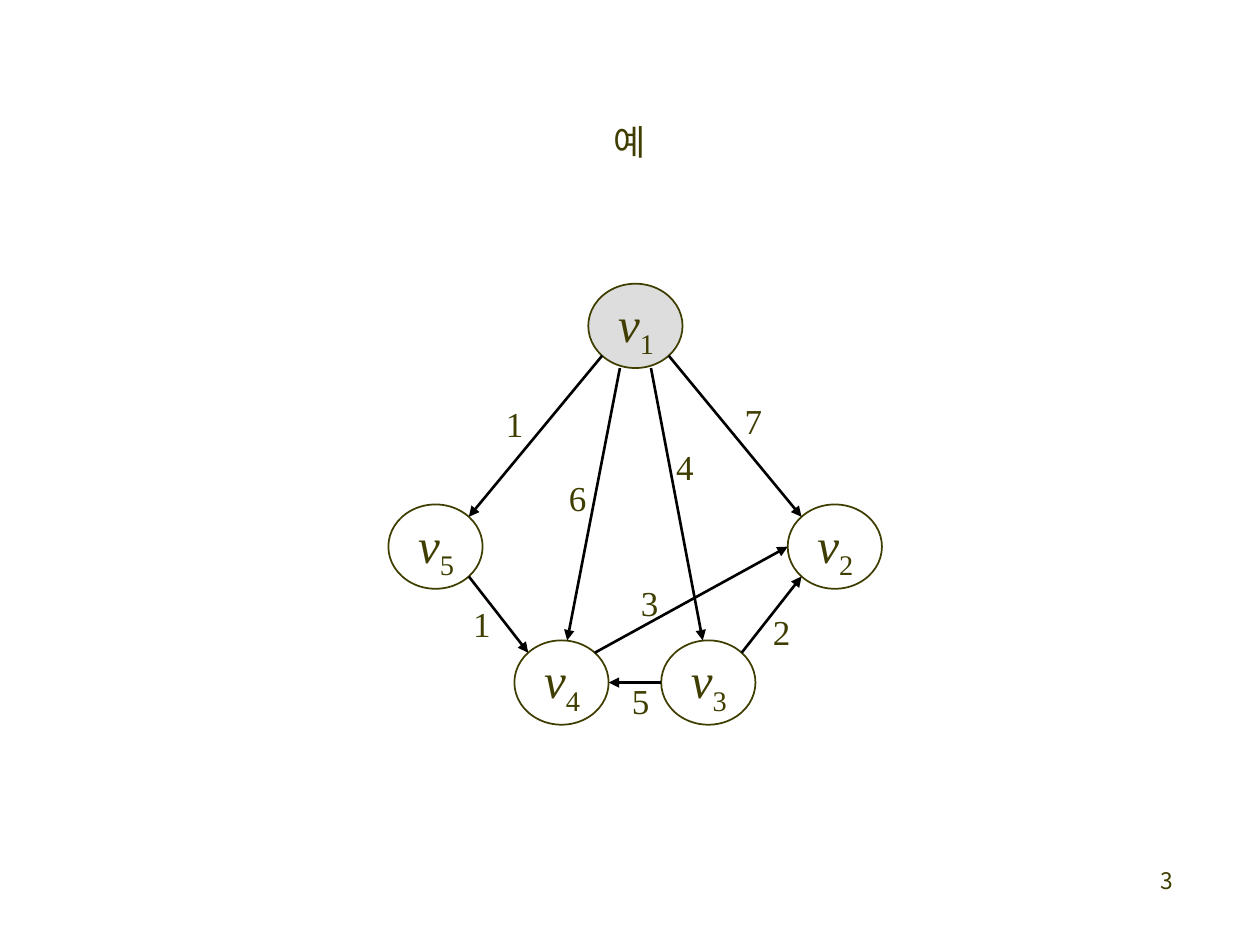
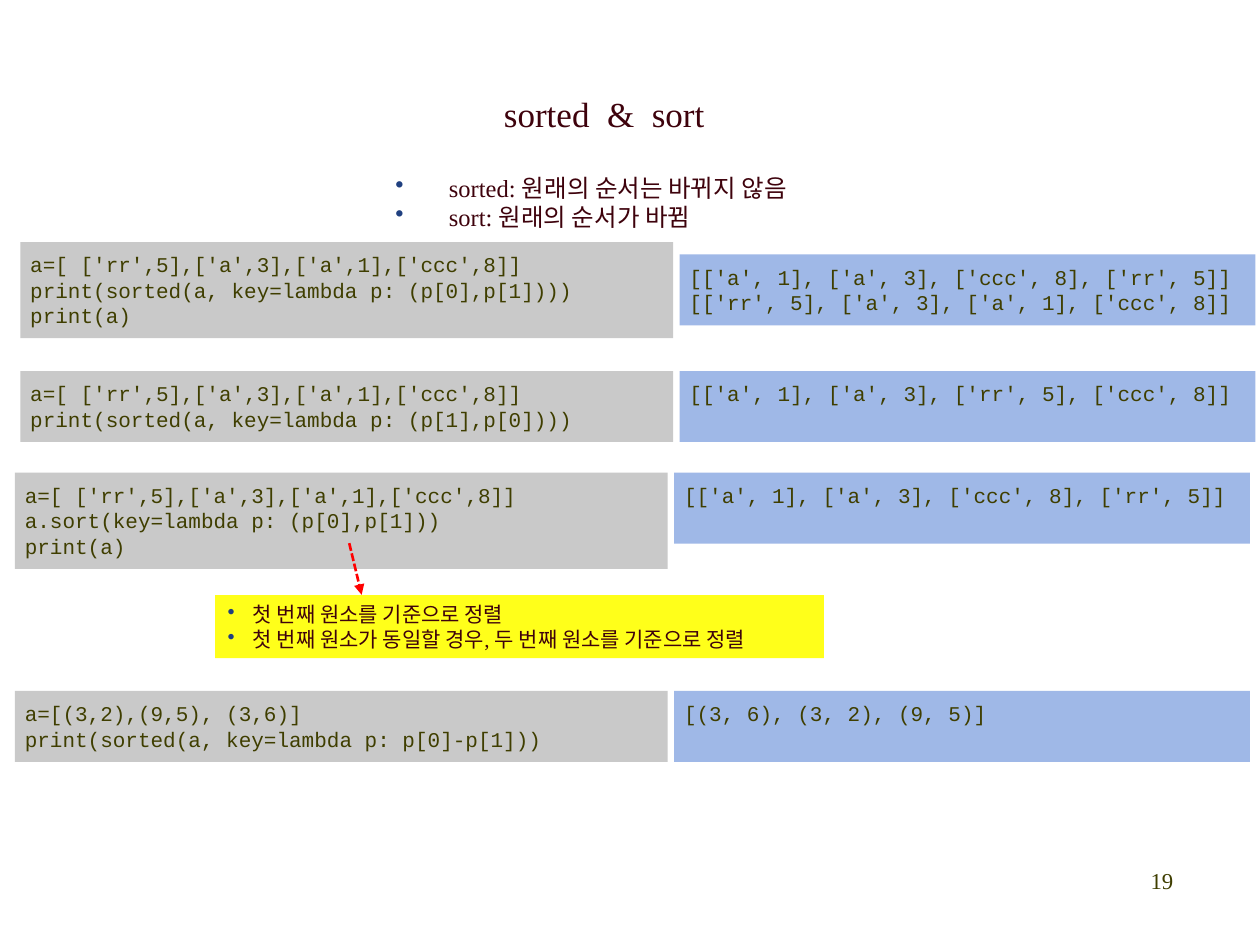
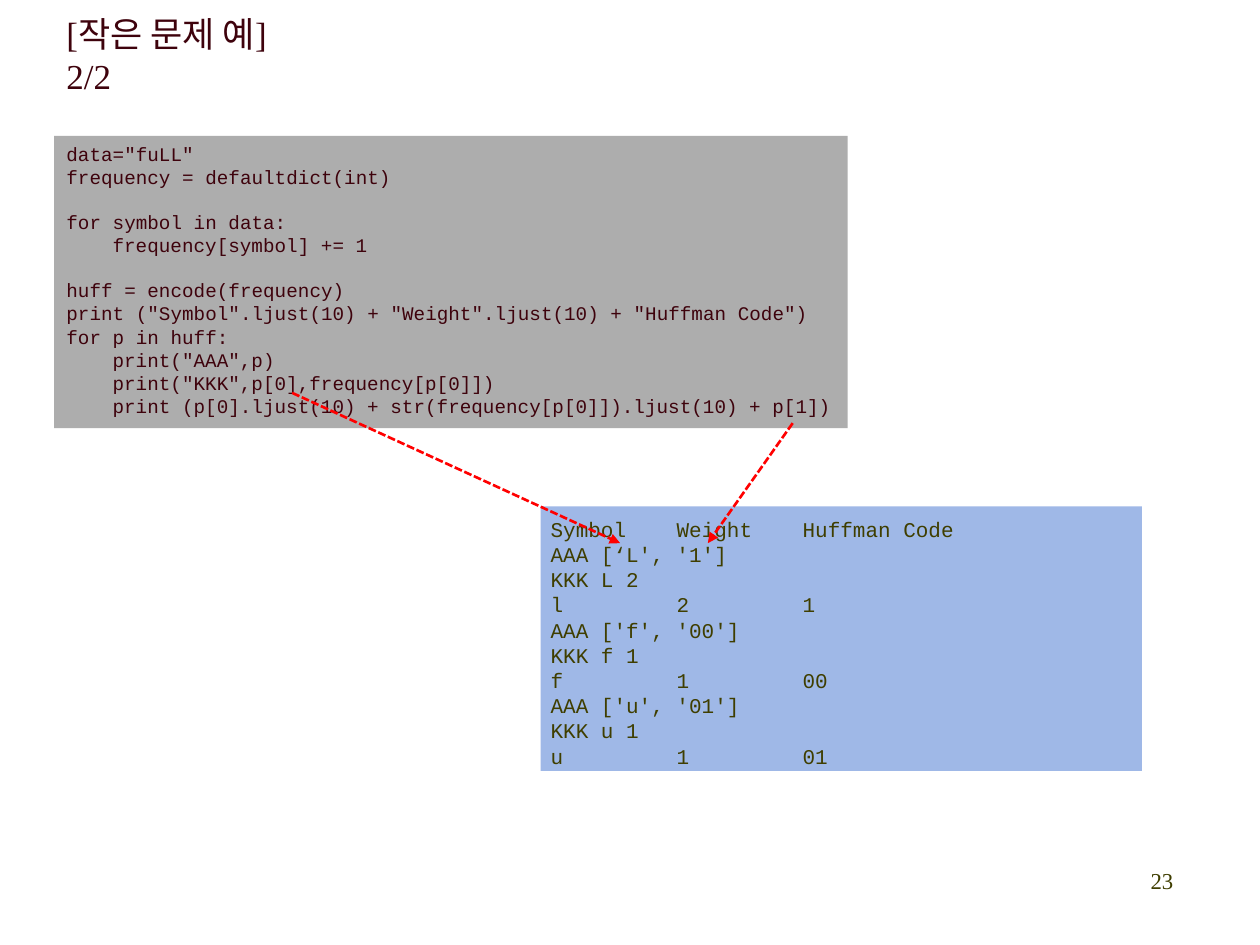
from dataclasses import dataclass
from math import sqrt

from lxml.etree import SubElement
from pptx import Presentation
from pptx.dml.color import RGBColor
from pptx.enum.dml import MSO_LINE
from pptx.enum.shapes import MSO_CONNECTOR, MSO_SHAPE
from pptx.enum.text import MSO_ANCHOR, PP_ALIGN
from pptx.oxml.ns import qn
from pptx.util import Cm, Pt


@dataclass(frozen=True)
class Theme:
    # colours
    olive: str = "3F3E00"
    maroon: str = "3E020C"
    bullet: str = "204080"
    code: str = "C9C9C9"
    dark_code: str = "ADADAD"
    output: str = "9FB8E7"
    note: str = "FFFF1A"
    start_node: str = "DDDDDD"
    edge: str = "000000"
    pointer: str = "FF0000"
    # fonts and type sizes
    serif: str = "Times New Roman"
    mono: str = "Courier New"
    korean: str = "Noto Sans CJK KR"
    title: int = 20
    node: int = 28
    list: int = 14
    number: int = 13
    body: int = 12
    listing: int = 11


T = Theme()
CODE_INSETS = (0.2, 0.2, 0.2, 0.2)
OUTPUT_INSETS = (0.2, 0.2, 0.2, 0)


def rgb(value):
    return RGBColor.from_string(value)


def apply(target, formats):
    for name, value in formats.items():
        setattr(target, name, value)


# ---- shared parts ----

def add_run(p, text, size, color=T.olive, font=T.serif, italic=False, baseline=0):
    r = p.add_run()
    r.text = text
    apply(r.font, {"size": Pt(size), "name": font, "italic": italic})
    r.font.color.rgb = rgb(color)
    rPr = r._r.get_or_add_rPr()
    SubElement(rPr, qn("a:ea"), typeface=T.korean)
    if baseline:
        rPr.set("baseline", str(baseline))


def set_frame(sp, insets=(0.25, 0.13, 0.25, 0.13), wrap=True, anchor=MSO_ANCHOR.TOP):
    tf = sp.text_frame
    apply(tf, {"word_wrap": wrap, "vertical_anchor": anchor})
    sides = ("margin_left", "margin_top", "margin_right", "margin_bottom")
    apply(tf, {side: Cm(inset) for side, inset in zip(sides, insets)})
    return tf


def add_lines(tf, lines, align=PP_ALIGN.LEFT, **run):
    """Write one paragraph per line and return the paragraphs."""
    for i, line in enumerate(lines):
        p = tf.paragraphs[0] if i == 0 else tf.add_paragraph()
        p.alignment = align
        add_run(p, line, **run)
    return tf.paragraphs


def add_text(slide, box, lines, wrap=True, anchor=MSO_ANCHOR.TOP, **fmt):
    sp = slide.shapes.add_textbox(*map(Cm, box))
    return add_lines(set_frame(sp, wrap=wrap, anchor=anchor), lines, **fmt)


def add_box(slide, box, fill=None, line=None, kind=MSO_SHAPE.RECTANGLE):
    sp = slide.shapes.add_shape(kind, *map(Cm, box))
    sp.shadow.inherit = False
    if fill:
        sp.fill.solid()
        sp.fill.fore_color.rgb = rgb(fill)
    else:
        sp.fill.background()
    if line:
        sp.line.color.rgb = rgb(line)
        sp.line.width = Pt(1)
    else:
        sp.line.fill.background()
    return sp


def add_arrow(slide, start, end, color, dash=None):
    sp = slide.shapes.add_connector(MSO_CONNECTOR.STRAIGHT, *map(Cm, (*start, *end)))
    sp.line.color.rgb = rgb(color)
    apply(sp.line, {"width": Pt(1.5), "dash_style": dash})
    SubElement(sp.line._get_or_add_ln(), qn("a:tailEnd"), type="triangle")
    SubElement(sp._element.spPr, qn("a:effectLst"))


def add_pointer(slide, start, end):
    add_arrow(slide, start, end, T.pointer, MSO_LINE.SQUARE_DOT)


def add_bullets(paragraphs, indent):
    for p in paragraphs:
        pPr = p._p.get_or_add_pPr()
        pPr.set("marL", str(Cm(indent)))
        pPr.set("indent", str(-Cm(indent)))
        color = SubElement(pPr, qn("a:buClr"))
        SubElement(color, qn("a:srgbClr"), val=T.bullet)
        SubElement(pPr, qn("a:buChar"), char="•")


def add_number(slide, number, font=T.serif):
    add_text(slide, (18.62, 17.35, 5.28, 1.27), [str(number)],
             align=PP_ALIGN.RIGHT, size=T.number, font=font)


def add_code(slide, box, lines, fill=T.code, insets=CODE_INSETS):
    sp = add_box(slide, box, fill)
    return add_lines(set_frame(sp, insets), lines, size=T.body, font=T.mono)


# ---- slide 1: weighted graph ----

NODE_W, NODE_H = 1.9, 1.7
DIAG = sqrt(0.5)
# node: left, top within the graph
NODES = {1: (4.03, 0), 2: (8.05, 4.45), 3: (5.5, 7.19), 4: (2.54, 7.19), 5: (0, 4.45)}
# from, to, exit and entry points in radii, weight, label position in the graph
EDGES = [
    (1, 2, (DIAG, DIAG), (-DIAG, -DIAG), 7, (6.93, 2.29)),
    (1, 5, (-DIAG, DIAG), (DIAG, -DIAG), 1, (2.12, 2.36)),
    (5, 4, (DIAG, DIAG), (-DIAG, -DIAG), 1, (1.46, 6.4)),
    (3, 2, (DIAG, -DIAG), (-DIAG, DIAG), 2, (7.5, 6.55)),
    (3, 4, (-1, 0), (1, 0), 5, (4.66, 7.95)),
    (1, 4, (-0.33, 1), (0.12, -1), 6, (3.39, 3.86)),
    (1, 3, (0.33, 1), (-0.12, -1), 4, (5.55, 3.23)),
    (4, 2, (DIAG, -DIAG), (-1, 0), 3, (4.84, 5.97)),
]


def add_graph(slide, left, top):
    def rim(node, direction):
        x, y = NODES[node]
        return (left + x + NODE_W / 2 * (1 + direction[0]),
                top + y + NODE_H / 2 * (1 + direction[1]))

    # nodes with subscripted names
    for node, (x, y) in NODES.items():
        add_box(slide, (left + x, top + y, NODE_W, NODE_H),
                T.start_node if node == 1 else None, T.olive, MSO_SHAPE.OVAL)
        p = add_text(slide, (left + x + 0.35, top + y + 0.08, 1.3, 1.32), ["v"],
                     wrap=False, size=T.node, italic=True)[0]
        p.line_spacing = 0.9
        add_run(p, str(node), T.node, baseline=-25000)
    # edges with weights
    for a, b, leave, enter, weight, (x, y) in EDGES:
        add_arrow(slide, rim(a, leave), rim(b, enter), T.edge)
        p = add_text(slide, (left + x, top + y, 0.86, 1.02), [str(weight)],
                     wrap=False, size=T.title)[0]
        p.line_spacing = 0.9


def graph_slide(slide):
    add_text(slide, (1.9, 1.7, 21.59, 2.29), ["예"], anchor=MSO_ANCHOR.MIDDLE,
             align=PP_ALIGN.CENTER, size=T.title)
    add_graph(slide, 7.83, 5.72)
    add_number(slide, 3, T.korean)


# ---- slide 2: code and output pairs ----

PAIRS_DATA = "a=[ ['rr',5],['a',3],['a',1],['ccc',8]]"
# left, top, output offset, code lines, output lines
PAIRS = [
    (0.41, 4.88, 0.25,
     [PAIRS_DATA, "print(sorted(a, key=lambda p: (p[0],p[1])))", "print(a)"],
     ["[['a', 1], ['a', 3], ['ccc', 8], ['rr', 5]]",
      "[['rr', 5], ['a', 3], ['a', 1], ['ccc', 8]]"]),
    (0.41, 7.48, 0,
     [PAIRS_DATA, "print(sorted(a, key=lambda p: (p[1],p[0])))"],
     ["[['a', 1], ['a', 3], ['rr', 5], ['ccc', 8]]"]),
    (0.3, 9.53, 0,
     [PAIRS_DATA, "a.sort(key=lambda p: (p[0],p[1]))", "print(a)"],
     ["[['a', 1], ['a', 3], ['ccc', 8], ['rr', 5]]"]),
    (0.3, 13.93, 0,
     ["a=[(3,2),(9,5), (3,6)]", "print(sorted(a, key=lambda p: p[0]-p[1]))"],
     ["[(3, 6), (3, 2), (9, 5)]"]),
]


def add_pair(slide, left, top, offset, code, output):
    add_code(slide, (left + 13.29, top + offset, 11.61, 1.43), output,
             T.output, OUTPUT_INSETS)
    add_code(slide, (left, top, 13.16, 0.41 + 0.51 * len(code)), code)


def add_note(slide, box, lines):
    tf = set_frame(add_box(slide, box, T.note))
    add_bullets(add_lines(tf, lines, size=T.body, color=T.maroon), 0.51)


def sort_slide(slide):
    add_text(slide, (9.91, 1.73, 4.57, 1.12), ["sorted  &  sort"], wrap=False,
             size=T.title, color=T.maroon)
    add_bullets(add_text(slide, (7.72, 3.35, 8.94, 1.45),
                         ["sorted: 원래의 순서는 바뀌지 않음", "sort: 원래의 순서가 바뀜"],
                         size=T.list, color=T.maroon), 1.08)
    for pair in PAIRS:
        add_pair(slide, *pair)
    add_pointer(slide, (7.04, 10.95), (7.29, 11.99))
    add_note(slide, (4.34, 12, 12.27, 1.27),
             ["첫 번째 원소를 기준으로 정렬",
              "첫 번째 원소가 동일할 경우, 두 번째 원소를 기준으로 정렬"])
    add_number(slide, 19)


# ---- slide 3: listing and its output ----

LISTING = """data="fuLL"
frequency = defaultdict(int)

for symbol in data:
    frequency[symbol] += 1

huff = encode(frequency)
print ("Symbol".ljust(10) + "Weight".ljust(10) + "Huffman Code")
for p in huff:
    print("AAA",p)
    print("KKK",p[0],frequency[p[0]])
    print (p[0].ljust(10) + str(frequency[p[0]]).ljust(10) + p[1])"""

RESULT = [
    ("Symbol", "Weight", "Huffman Code"),
    ("AAA [‘L', '1']",), ("KKK L 2",), ("l", "2", "1"),
    ("AAA ['f', '00']",), ("KKK f 1",), ("f", "1", "00"),
    ("AAA ['u', '01']",), ("KKK u 1",), ("u", "1", "01"),
]


def add_listing(slide, box, source):
    """Show source code; indents and gaps become paragraph formats."""
    tf = set_frame(add_box(slide, box, T.dark_code))
    lines = source.split("\n")
    shown = [i for i, line in enumerate(lines) if line]
    paragraphs = add_lines(tf, [lines[i].strip() for i in shown],
                           size=T.listing, font=T.mono, color=T.maroon)
    for i, p in zip(shown, paragraphs):
        depth = len(lines[i]) - len(lines[i].lstrip())
        pPr = p._p.get_or_add_pPr()
        pPr.set("marL", str(Pt(0.6 * T.listing * depth)))
        pPr.set("indent", "0")
        if i and not lines[i - 1]:
            p.space_before = Pt(12.5)


def add_result(slide, box, rows):
    """Show program output in columns ten characters wide."""
    lines = ["\t".join(row) for row in rows]
    for p in add_code(slide, box, lines, T.output, OUTPUT_INSETS):
        tabs = SubElement(p._p.get_or_add_pPr(), qn("a:tabLst"))
        for column in (1, 2):
            SubElement(tabs, qn("a:tab"), pos=str(Pt(6 * T.body * column)), algn="l")


def huffman_slide(slide):
    add_listing(slide, (1.09, 2.74, 16, 5.89), LISTING)
    add_text(slide, (1.09, 0.13, 5.99, 1.12), ["[작은 문제 예]", "2/2"],
             size=T.title, color=T.maroon)
    add_result(slide, (10.9, 10.21, 12.12, 5.33), RESULT)
    add_pointer(slide, (5.89, 7.92), (12.5, 10.95))
    add_pointer(slide, (15.98, 8.53), (14.27, 10.95))
    add_number(slide, 23)


def main():
    prs = Presentation()
    apply(prs, {"slide_width": Cm(25.4), "slide_height": Cm(19.05)})
    for build in (graph_slide, sort_slide, huffman_slide):
        build(prs.slides.add_slide(prs.slide_layouts[6]))
    prs.save("out.pptx")


if __name__ == "__main__":
    main()
